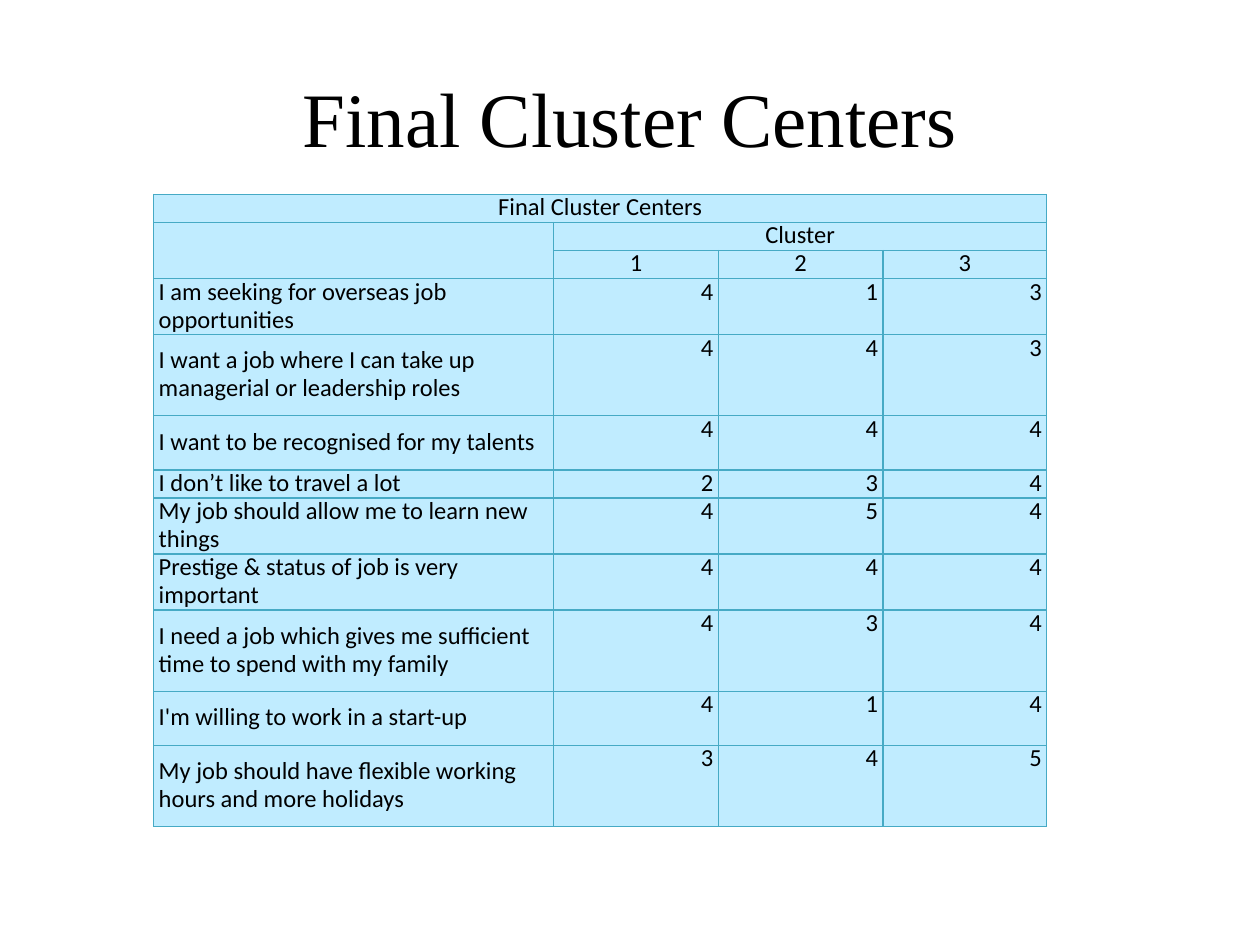
from lxml.etree import SubElement
from pptx import Presentation
from pptx.dml.color import RGBColor
from pptx.enum.text import MSO_ANCHOR, PP_ALIGN
from pptx.oxml.ns import qn
from pptx.util import Cm, Pt

BLACK, CELL_BLUE, BORDER_TEAL = "000000", "C0ECFF", "46AAC5"
TITLE_FORMAT = {"name": "Times New Roman", "size": Pt(44)}
CELL_FORMAT = {"name": "Calibri", "size": Pt(14)}
CELL_MARGINS = {"margin_left": Cm(0.1), "margin_right": Cm(0.1),
                "margin_top": 0, "margin_bottom": 0}
COLUMN_WIDTHS = [8.06, 3.32, 3.32, 3.3]
ONE_LINE, TWO_LINES, THREE_LINES = 0.56, 1.09, 1.64

# Statement, centre of each cluster, row height
STATEMENTS = [
    ("I am seeking for overseas job opportunities", (4, 1, 3), TWO_LINES),
    ("I want a job where I can take up managerial or leadership roles",
     (4, 4, 3), THREE_LINES),
    ("I want to be recognised for my talents", (4, 4, 4), TWO_LINES),
    ("I don’t like to travel a lot", (2, 3, 4), ONE_LINE),
    ("My job should allow me to learn new things", (4, 5, 4), TWO_LINES),
    ("Prestige & status of job is very important", (4, 4, 4), TWO_LINES),
    ("I need a job which gives me sufficient time to spend with my family",
     (4, 3, 4), THREE_LINES),
    ("I'm willing to work in a start-up", (4, 1, 4), TWO_LINES),
    ("My job should have flexible working hours and more holidays",
     (3, 4, 5), THREE_LINES),
]


def color(hex_value):
    return RGBColor.from_string(hex_value)


def apply_format(target, values):
    for name, value in values.items():
        setattr(target, name, value)


def write(para, text, font_format, align):
    para.alignment = align
    if text:
        span = para.add_run()
        span.text = text
        apply_format(span.font, font_format)
        span.font.color.rgb = color(BLACK)


def add_borders(cell):
    properties = cell._tc.get_or_add_tcPr()
    for position, side in enumerate(("lnL", "lnR", "lnT", "lnB")):
        line = SubElement(properties, qn(f"a:{side}"), w=str(Pt(0.75)))
        fill = SubElement(line, qn("a:solidFill"))
        SubElement(fill, qn("a:srgbClr"), val=BORDER_TEAL)
        # Borders come before the cell fill
        properties.insert(position, line)


def format_cell(cell, text, align, anchor):
    apply_format(cell, CELL_MARGINS)
    cell.vertical_anchor = anchor
    cell.fill.solid()
    cell.fill.fore_color.rgb = color(CELL_BLUE)
    add_borders(cell)
    para = cell.text_frame.paragraphs[0]
    para.line_spacing = Pt(16)
    write(para, text, CELL_FORMAT, align)


def add_title(page, text, left, top, width, height):
    box = page.shapes.title
    apply_format(box, {"left": left, "top": top, "width": width, "height": height})
    box.text_frame.vertical_anchor = MSO_ANCHOR.MIDDLE
    write(box.text_frame.paragraphs[0], text, TITLE_FORMAT, PP_ALIGN.CENTER)


def add_cluster_table(page, left, top):
    # Three heading rows, then one row for each statement
    rows = [["Final Cluster Centers", "", "", ""], ["", "Cluster", "", ""],
            ["", "1", "2", "3"]]
    heading_count = len(rows)
    rows += [[label, *map(str, centers)] for label, centers, _ in STATEMENTS]
    heights = [ONE_LINE] * heading_count + [height for *_, height in STATEMENTS]
    frame = page.shapes.add_table(len(rows), len(COLUMN_WIDTHS), left, top,
                                  Cm(sum(COLUMN_WIDTHS)), Cm(sum(heights)))
    table = frame.table
    table.first_row = table.horz_banding = False
    for column, width in zip(table.columns, COLUMN_WIDTHS):
        column.width = Cm(width)

    for r, (texts, height) in enumerate(zip(rows, heights)):
        table.rows[r].height = Cm(height)
        for c, text in enumerate(texts):
            align, anchor = PP_ALIGN.RIGHT, MSO_ANCHOR.TOP
            if r < heading_count:
                align = PP_ALIGN.CENTER
            elif c == 0:
                align, anchor = PP_ALIGN.LEFT, MSO_ANCHOR.MIDDLE
            format_cell(table.cell(r, c), text, align, anchor)

    # Title across the table, empty corner, cluster heading
    for first, last in [((0, 0), (0, 3)), ((1, 0), (2, 0)), ((1, 1), (1, 3))]:
        table.cell(*first).merge(table.cell(*last))


deck = Presentation()
deck.slide_width, deck.slide_height = Cm(25.4), Cm(19.05)
page = deck.slides.add_slide(deck.slide_layouts[5])
add_title(page, "Final Cluster Centers", Cm(1.27), Cm(0.76), Cm(22.86), Cm(3.18))
add_cluster_table(page, Cm(3.1), Cm(3.92))
deck.save("out.pptx")
